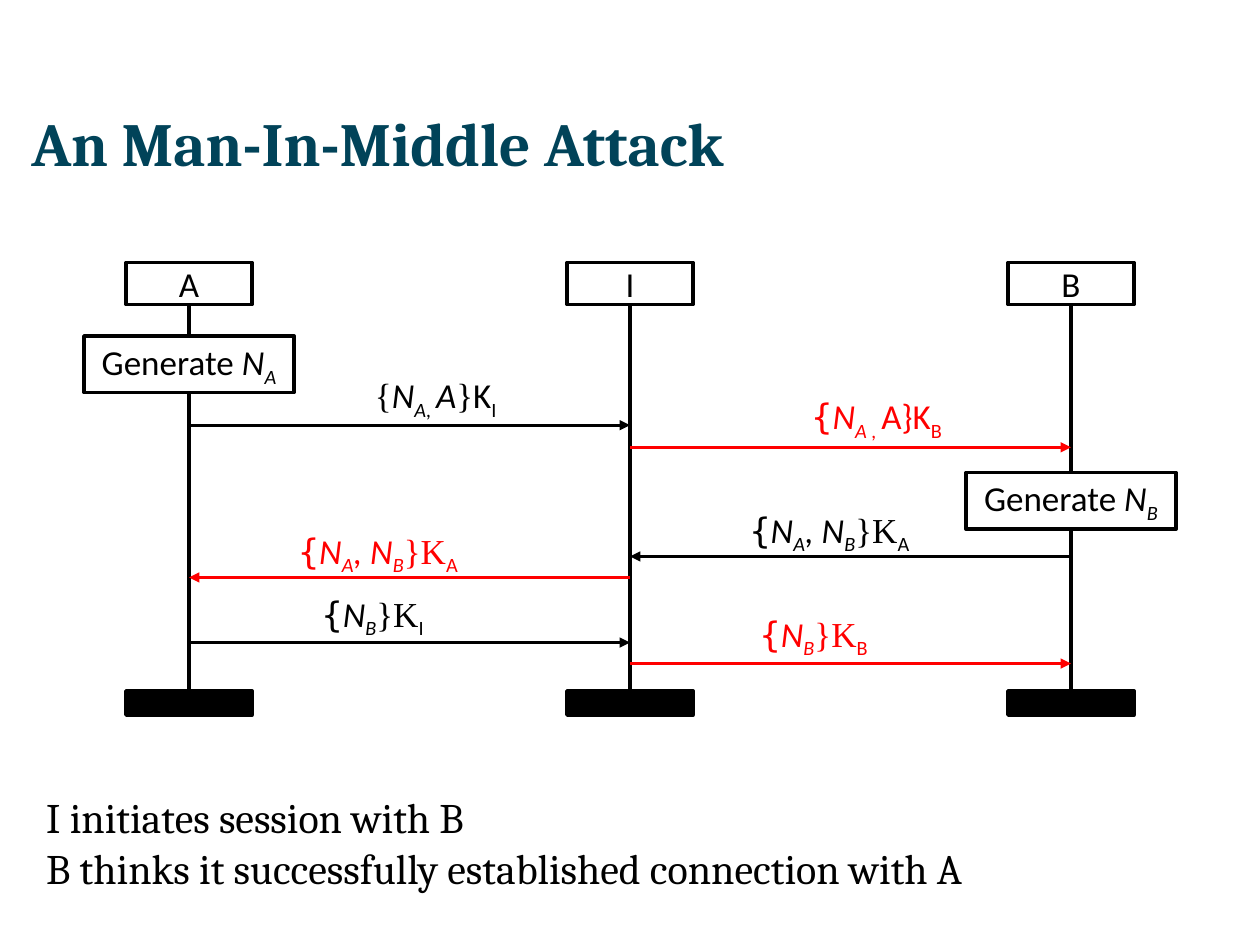
from dataclasses import dataclass
from typing import NamedTuple

from lxml.etree import SubElement
from pptx import Presentation
from pptx.dml.color import RGBColor
from pptx.enum.shapes import MSO_CONNECTOR, MSO_SHAPE
from pptx.enum.text import MSO_ANCHOR, MSO_AUTO_SIZE, PP_ALIGN
from pptx.oxml.ns import qn
from pptx.util import Emu, Pt

PX = 7620  # EMU per px, 120 px to the inch


@dataclass(frozen=True)
class Theme:
    ink: RGBColor = RGBColor(0, 0, 0)
    red: RGBColor = RGBColor(255, 0, 0)
    teal: RGBColor = RGBColor(0x01, 0x43, 0x59)
    serif: str = "Cambria"
    sans: str = "Calibri"
    times: str = "Times New Roman"
    mono: str = "DejaVu Sans Mono"
    title: int = 35
    body: int = 24
    label: int = 20
    frame: float = 2
    wire: float = 1.75


LOOK = Theme()


class Box(NamedTuple):
    left: int
    top: int
    width: int
    height: int


class Bit(NamedTuple):
    text: str
    face: str = LOOK.sans
    italic: bool = False
    sub: bool = False


class Actor(NamedTuple):
    name: str
    axis: int
    note: int | None = None  # top of the "Generate" box


class Message(NamedTuple):
    start: int
    end: int
    level: int
    color: RGBColor
    label: Box
    bits: list[Bit]


def px(n: int) -> Emu:
    return Emu(n * PX)


def var(text: str) -> Bit:
    return Bit(text, italic=True)


def low(text: str, italic: bool = True) -> Bit:
    return Bit(text, italic=italic, sub=True)


def nonce(owner: str) -> list[Bit]:
    return [var("N"), low(owner)]


def sealed(inner: list[Bit], key: str) -> list[Bit]:
    return [Bit("{", LOOK.mono), *inner, Bit("}K", LOOK.times), low(key, False)]


def write(para, bits: list[Bit], size: int, color: RGBColor, bold: bool = False) -> None:
    for bit in bits:
        run = para.add_run()
        run.text = bit.text
        font = run.font
        font.name, font.size = bit.face, Pt(size)
        font.bold, font.italic = bold, bit.italic
        font.color.rgb = color
        if bit.sub:
            run._r.get_or_add_rPr().set("baseline", "-25000")


def prose(slide, box: Box, lines: list[str], size: int, color: RGBColor, bold: bool = False) -> None:
    frame = slide.shapes.add_textbox(*map(px, box)).text_frame
    frame.word_wrap = True
    frame.margin_left = frame.margin_right = frame.margin_top = frame.margin_bottom = 0
    for i, line in enumerate(lines):
        para = frame.add_paragraph() if i else frame.paragraphs[0]
        write(para, [Bit(line, LOOK.serif)], size, color, bold)


def block(slide, box: Box, bits: list[Bit], solid: bool = False) -> None:
    shape = slide.shapes.add_shape(MSO_SHAPE.RECTANGLE, *map(px, box))
    shape.shadow.inherit = False
    if solid:
        shape.fill.solid()
        shape.fill.fore_color.rgb = LOOK.ink
    else:
        shape.fill.background()
    shape.line.color.rgb = LOOK.ink
    shape.line.width = Pt(LOOK.frame)
    if bits:
        frame = shape.text_frame
        frame.vertical_anchor = MSO_ANCHOR.MIDDLE
        frame.paragraphs[0].alignment = PP_ALIGN.CENTER
        write(frame.paragraphs[0], bits, LOOK.label, LOOK.ink)


def wire(slide, x1: int, y1: int, x2: int, y2: int, color: RGBColor, arrow: bool = False) -> None:
    line = slide.shapes.add_connector(MSO_CONNECTOR.STRAIGHT, *map(px, (x1, y1, x2, y2)))
    line.line.color.rgb = color
    line.line.width = Pt(LOOK.wire)
    if arrow:
        SubElement(line.line._get_or_add_ln(), qn("a:tailEnd"), type="triangle")
    SubElement(line._element.spPr, qn("a:effectLst"))


HEAD, NECK, FOOT = 250, 290, 658  # head top, lifeline start and end
WIDE, BASE = 120, 23              # head width, foot height
NOTE_W, NOTE_H = 200, 54


def lifeline(slide, actor: Actor) -> None:
    x, left = actor.axis, actor.axis - WIDE // 2
    block(slide, Box(left, HEAD, WIDE, NECK - HEAD), [Bit(actor.name)])
    if actor.note is None:
        wire(slide, x, NECK, x, FOOT, LOOK.ink)
    else:
        wire(slide, x, NECK, x, actor.note, LOOK.ink)
        wire(slide, x, actor.note + NOTE_H, x, FOOT, LOOK.ink)
        block(slide, Box(x - NOTE_W // 2, actor.note, NOTE_W, NOTE_H),
              [Bit("Generate "), *nonce(actor.name)])
    block(slide, Box(left, FOOT, WIDE, BASE), [], solid=True)


def send(slide, msg: Message) -> None:
    wire(slide, msg.start, msg.level, msg.end, msg.level, msg.color, arrow=True)
    frame = slide.shapes.add_textbox(*map(px, msg.label)).text_frame
    frame.word_wrap = True
    frame.auto_size = MSO_AUTO_SIZE.SHAPE_TO_FIT_TEXT
    frame.paragraphs[0].alignment = PP_ALIGN.CENTER
    write(frame.paragraphs[0], msg.bits, LOOK.label, msg.color)


A, I, B = 180, 600, 1020  # lifeline axes
ACTORS = [Actor("A", A, 320), Actor("I", I), Actor("B", B, 450)]

PAIR = sealed([var("N"), low("A"), var(", N"), low("B")], "A")
HELLO = [Bit("{", LOOK.times), var("N"), low("A, "), var("A"),
         Bit("}", LOOK.times), Bit("K"), low("I", False)]
RELAY = [Bit("{", LOOK.mono), var("N"), low("A , "), Bit("A}K"), low("B", False)]

MESSAGES = [
    Message(A, I, 405, LOOK.ink, Box(300, 350, 230, 53), HELLO),
    Message(I, B, 426, LOOK.red, Box(720, 370, 230, 53), RELAY),
    Message(B, I, 530, LOOK.ink, Box(670, 478, 240, 53), PAIR),
    Message(I, A, 550, LOOK.red, Box(240, 498, 240, 53), PAIR),
    Message(A, I, 612, LOOK.ink, Box(240, 558, 230, 53), sealed(nonce("B"), "I")),
    Message(I, B, 632, LOOK.red, Box(660, 577, 230, 53), sealed(nonce("B"), "B")),
]


def main() -> None:
    deck = Presentation()
    deck.slide_width, deck.slide_height = px(1200), px(900)
    slide = deck.slides.add_slide(deck.slide_layouts[6])

    # Heading and remarks
    prose(slide, Box(30, 100, 1118, 71), ["An Man-In-Middle Attack"], LOOK.title, LOOK.teal, True)
    prose(slide, Box(44, 754, 1080, 173),
          ["I initiates session with B", "B thinks it successfully established connection with A"],
          LOOK.body, LOOK.ink)

    # Lifelines, then the messages between them
    for actor in ACTORS:
        lifeline(slide, actor)
    for msg in MESSAGES:
        send(slide, msg)

    deck.save("out.pptx")


if __name__ == "__main__":
    main()
